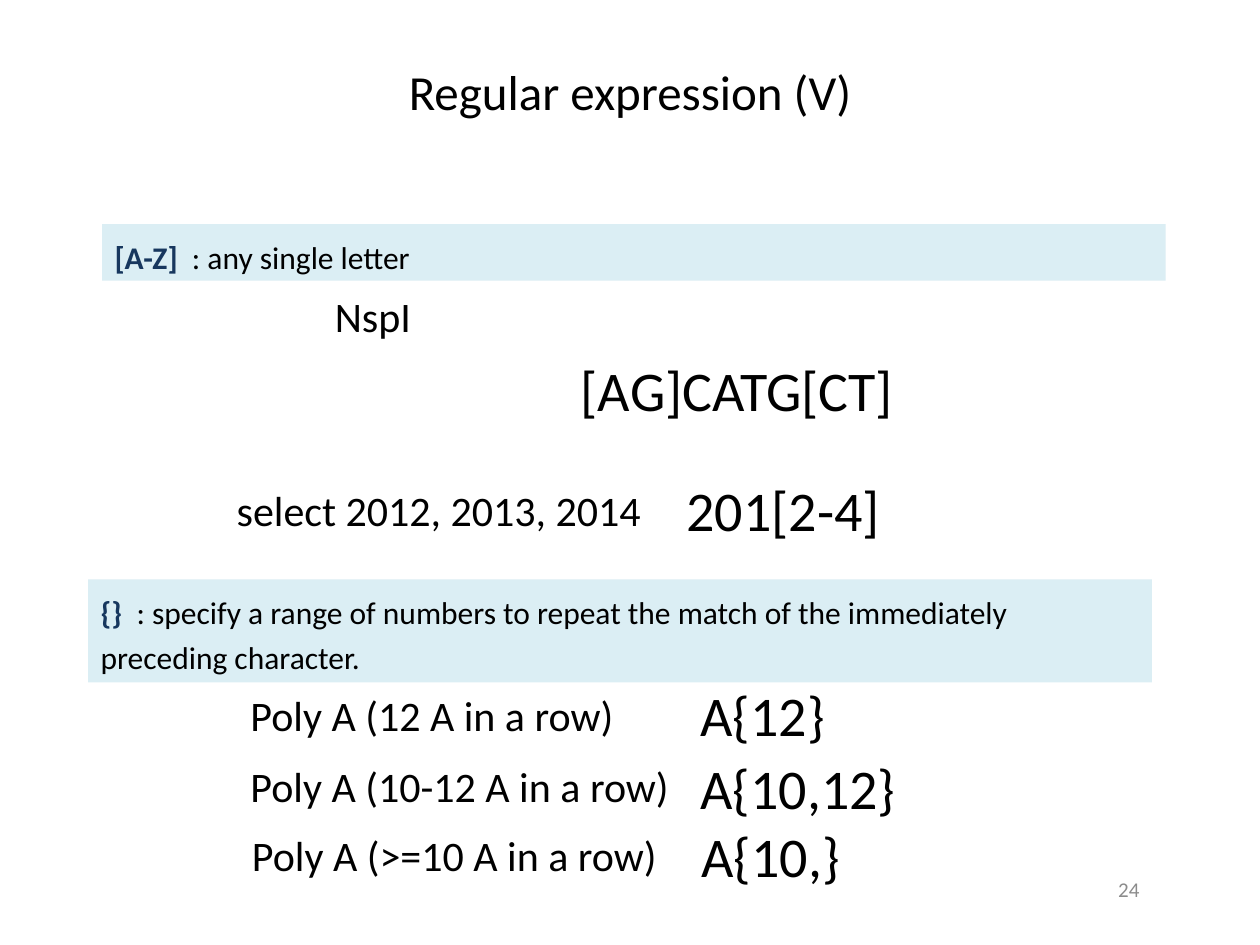
from dataclasses import dataclass

import pptx
import pptx.dml.color
import pptx.enum.shapes
import pptx.enum.text
import pptx.util

Cm = pptx.util.Cm
Align = pptx.enum.text.PP_ALIGN
Anchor = pptx.enum.text.MSO_ANCHOR
AutoSize = pptx.enum.text.MSO_AUTO_SIZE


def rgb(code: str) -> pptx.dml.color.RGBColor:
    return pptx.dml.color.RGBColor.from_string(code)


@dataclass(frozen=True)
class Theme:
    font: str = "Calibri"
    ink: str = "000000"
    accent: str = "17375E"
    muted: str = "8C8C8C"
    band: str = "DBEEF4"
    title: int = 28
    rule: int = 18
    label: int = 24
    pattern: int = 32
    number: int = 12


@dataclass(frozen=True)
class Rule:
    syntax: str
    meaning: str
    left: float
    top: float
    height: float


@dataclass(frozen=True)
class Snippet:
    text: str
    left: float
    top: float
    width: float


THEME = Theme()
BAND_WIDTH = 21.44

RULES = [
    Rule("[A-Z]", "  : any single letter", 2.06, 4.52, 1.14),
    Rule("{}", "  : specify a range of numbers to repeat the match of the "
         "immediately preceding character.", 1.78, 11.68, 2.08),
]
LABELS = [
    Snippet("NspI", 6.5, 5.74, 2.06),
    Snippet("select 2012, 2013, 2014", 4.52, 9.65, 8.94),
    Snippet("Poly A (12 A in a row)", 4.8, 13.77, 7.95),
    Snippet("Poly A (10-12 A in a row)", 4.8, 15.21, 9.07),
    Snippet("Poly A (>=10 A in a row)", 4.83, 16.59, 8.79),
]
PATTERNS = [
    Snippet("[AG]CATG[CT]", 11.46, 7.04, 6.99),
    Snippet("201[2-4]", 13.59, 9.47, 4.45),
    Snippet("A{12}", 13.87, 13.59, 3.05),
    Snippet("A{10,12}", 13.87, 15.06, 4.5),
    Snippet("A{10,}", 13.89, 16.43, 3.33),
]


def style(font, size: int, color: str) -> None:
    font.name = THEME.font
    font.size = pptx.util.Pt(size)
    font.color.rgb = rgb(color)


def add_rule(slide, rule: Rule) -> None:
    sp = slide.shapes.add_shape(
        pptx.enum.shapes.MSO_SHAPE.RECTANGLE,
        Cm(rule.left), Cm(rule.top), Cm(BAND_WIDTH), Cm(rule.height))
    sp.shadow.inherit = False
    sp.fill.solid()
    sp.fill.fore_color.rgb = rgb(THEME.band)
    sp.line.fill.background()
    tf = sp.text_frame
    tf.word_wrap = True
    tf.auto_size = AutoSize.SHAPE_TO_FIT_TEXT
    tf.vertical_anchor = Anchor.TOP
    p = tf.paragraphs[0]
    p.alignment = Align.LEFT
    p.line_spacing = 1.2
    for text, color, bold in ((rule.syntax, THEME.accent, True),
                              (rule.meaning, THEME.ink, False)):
        r = p.add_run()
        r.text = text
        style(r.font, THEME.rule, color)
        r.font.bold = bold


def add_snippet(slide, item: Snippet, size: int, height: float) -> None:
    sp = slide.shapes.add_textbox(
        Cm(item.left), Cm(item.top), Cm(item.width), Cm(height))
    tf = sp.text_frame
    tf.word_wrap = False
    tf.auto_size = AutoSize.SHAPE_TO_FIT_TEXT
    tf.text = item.text
    style(tf.paragraphs[0].font, size, THEME.ink)


def add_title(slide, text: str) -> None:
    sp = slide.shapes.title
    sp.left, sp.top, sp.width, sp.height = Cm(1.27), Cm(0.76), Cm(22.86), Cm(2.16)
    tf = sp.text_frame
    tf.text = text
    tf.vertical_anchor = Anchor.MIDDLE
    p = tf.paragraphs[0]
    p.alignment = Align.CENTER
    style(p.font, THEME.title, THEME.ink)


def add_page_number(slide, number: int) -> None:
    sp = slide.shapes.add_textbox(Cm(17.3), Cm(17.42), Cm(5.92), Cm(1.02))
    tf = sp.text_frame
    tf.word_wrap = True
    tf.vertical_anchor = Anchor.MIDDLE
    tf.text = str(number)
    p = tf.paragraphs[0]
    p.alignment = Align.RIGHT
    style(p.font, THEME.number, THEME.muted)


def main() -> None:
    prs = pptx.Presentation()
    prs.slide_width, prs.slide_height = Cm(25.4), Cm(19.05)
    slide = prs.slides.add_slide(prs.slide_layouts.get_by_name("Title Only"))
    add_title(slide, "Regular expression (V)")

    # Syntax rules on tinted bands
    for rule in RULES:
        add_rule(slide, rule)

    # Examples: what to match, and the expression that matches it
    for label in LABELS:
        add_snippet(slide, label, THEME.label, 1.27)
    for pattern in PATTERNS:
        add_snippet(slide, pattern, THEME.pattern, 1.63)

    add_page_number(slide, 24)
    prs.save("out.pptx")


if __name__ == "__main__":
    main()
